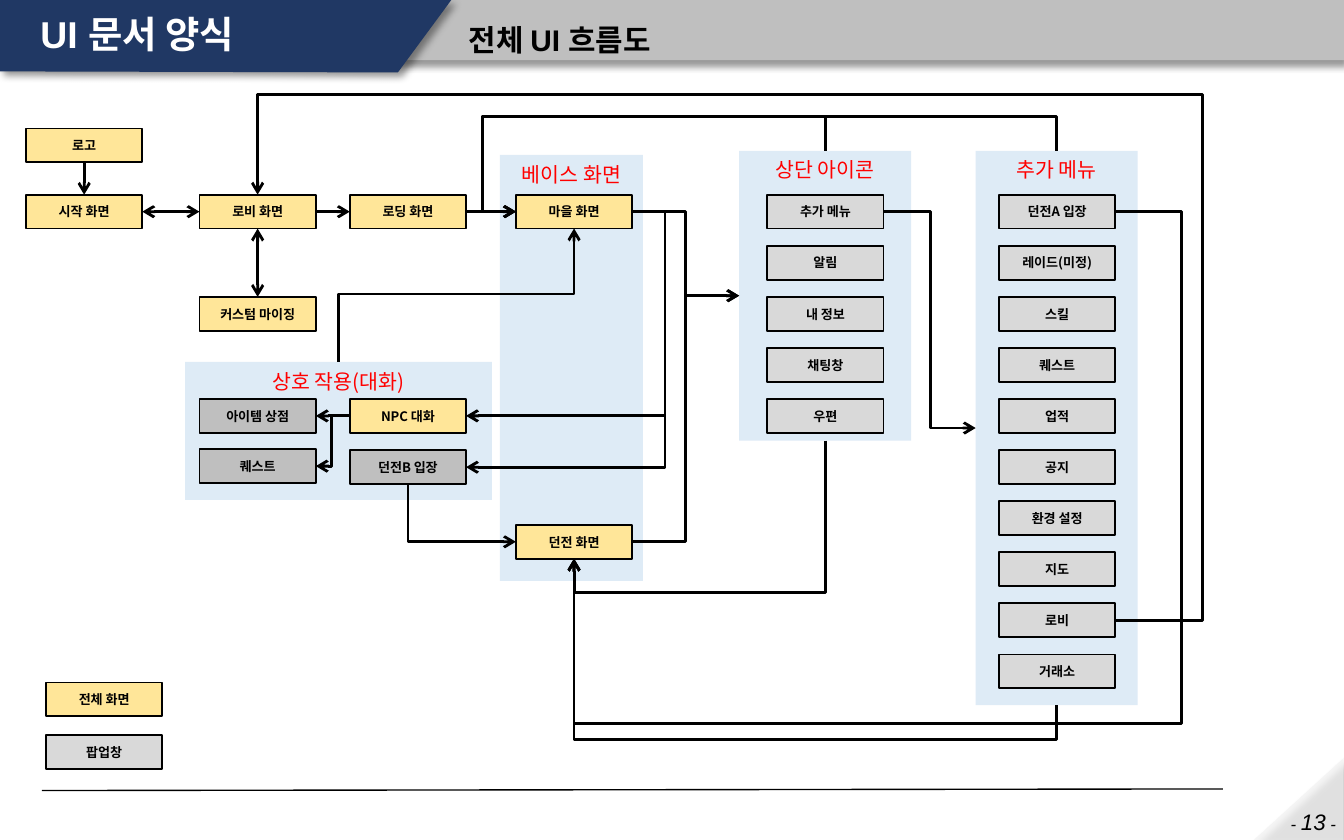
from lxml import etree
from pptx import Presentation
from pptx.dml.color import RGBColor
from pptx.enum.shapes import MSO_CONNECTOR, MSO_SHAPE
from pptx.enum.text import MSO_ANCHOR, MSO_AUTO_SIZE, PP_ALIGN
from pptx.oxml.ns import qn
from pptx.util import Cm, Pt

ARIAL, NOTO = "Arial", "Noto Sans CJK KR"
SCREEN, POPUP, TALK = "FFE699", "D9D9D9", "BFBFBF"
NODE_W, NODE_H = 2.2, 0.64
PITCH = 8.69 / 9
TOP, BOTTOM, LEFT, RIGHT = 0, 2, 1, 3


def color(value):
    return RGBColor.from_string(value)


def add_child(parent, tag, **attrs):
    return etree.SubElement(parent, qn(tag), {k: str(v) for k, v in attrs.items()})


def set_fill(shape, value, alpha=None):
    shape.fill.solid()
    shape.fill.fore_color.rgb = color(value)
    if alpha:
        clr = shape._element.spPr.find(qn("a:solidFill"))[0]
        add_child(clr, "a:alpha", val=alpha * 1000)


def set_shadow(shape, angle):
    shape.shadow.inherit = False
    effects = shape._element.spPr.find(qn("a:effectLst"))
    shadow = add_child(effects, "a:outerShdw", blurRad=Pt(4), dist=Pt(3),
                       dir=angle * 60000, algn="tl", rotWithShape=0)
    clr = add_child(shadow, "a:srgbClr", val="000000")
    add_child(clr, "a:alpha", val=40000)


def add_run(p, text, value, name=ARIAL, **formats):
    r = p.add_run()
    r.text = text
    r.font.color.rgb = color(value)
    for key, val in {"name": name, **formats}.items():
        setattr(r.font, key, val)
    add_child(r._r.get_or_add_rPr(), "a:ea", typeface=NOTO)


def add_box(s, box, text, value, anchor, **formats):
    shape = s.shapes.add_shape(MSO_SHAPE.RECTANGLE, *map(Cm, box))
    shape.shadow.inherit = False
    shape.line.fill.background()
    tf = shape.text_frame
    tf.word_wrap, tf.vertical_anchor = True, anchor
    p = tf.paragraphs[0]
    p.alignment = PP_ALIGN.CENTER
    add_run(p, text, value, NOTO, **formats)
    return shape


def add_node(s, x, y, text, fill):
    shape = add_box(s, (x, y, NODE_W, NODE_H), text, "000000",
                    MSO_ANCHOR.MIDDLE, size=Pt(7), bold=True)
    set_fill(shape, fill)
    shape.line.color.rgb = color("000000")
    shape.line.width = Pt(1)
    return shape


def add_nodes(s, x, y, nodes):
    """Place (dx, dy, text, fill) nodes from a corner; return them by text."""
    return {text: add_node(s, x + dx, y + dy, text, fill) for dx, dy, text, fill in nodes}


def add_panel(s, box, title, nodes):
    panel = add_box(s, box, title, "FF0000", MSO_ANCHOR.TOP, size=Pt(11))
    set_fill(panel, "5B9BD5", 20)
    return {"panel": panel, **add_nodes(s, *box[:2], nodes)}


def popup_column(dx, texts):
    return [(dx, 0.83 + i * PITCH, text, POPUP) for i, text in enumerate(texts)]


def style_line(c, width, head=False, tail=False):
    c.line.color.rgb = color("000000")
    c.line.width = Pt(width)
    ln = c._element.spPr.find(qn("a:ln"))
    for tag, wanted in (("a:headEnd", head), ("a:tailEnd", tail)):
        if wanted:
            add_child(ln, tag, type="arrow")
    add_child(c._element.spPr, "a:effectLst")


def side_point(shape, side):
    dx, dy = {TOP: (1, 0), LEFT: (0, 1), BOTTOM: (1, 2), RIGHT: (2, 1)}[side]
    return shape.left + shape.width * dx // 2, shape.top + shape.height * dy // 2


def link(s, a, a_side, b, b_side, turns=None, both=False):
    """Join two shapes; turns lists the bend coordinates in cm, None is straight."""
    start, end = side_point(a, a_side), side_point(b, b_side)
    kind = MSO_CONNECTOR.STRAIGHT if turns is None else MSO_CONNECTOR.ELBOW
    c = s.shapes.add_connector(kind, *start, *end)
    c.begin_connect(a, a_side)
    c.end_connect(b, b_side)
    style_line(c, 1.5, both, True)
    if turns is not None:
        bend(c, start, end, a_side in (TOP, BOTTOM), turns)


def bend(c, start, end, vertical, turns):
    dx, dy = end[0] - start[0], end[1] - start[1]
    along, across = (dy, -dx) if vertical else (dx, dy)
    c.width, c.height = abs(along), abs(across)
    c.left = (start[0] + end[0] - c.width) // 2
    c.top = (start[1] + end[1] - c.height) // 2
    xfrm = c._element.spPr.find(qn("a:xfrm"))
    for key, val in {"rot": 5400000 if vertical else 0, "flipH": int(along < 0),
                     "flipV": int(across < 0)}.items():
        xfrm.set(key, str(val))
    geom = c._element.spPr.find(qn("a:prstGeom"))
    geom.set("prst", f"bentConnector{len(turns) + 2}")
    guides = geom.find(qn("a:avLst"))
    for i, turn in enumerate(turns):
        axis = (i + vertical) % 2
        ratio = (Cm(turn) - start[axis]) / (dx, dy)[axis]
        add_child(guides, "a:gd", name=f"adj{i + 1}" if len(turns) > 1 else "adj1",
                  fmla=f"val {round(ratio * 100000)}")


def add_header(s, width):
    bar = s.shapes.add_shape(MSO_SHAPE.RECTANGLE, 0, 0, Cm(width), Cm(1.14))
    set_fill(bar, "BFBFBF")
    set_shadow(bar, 90)
    outline = [(Cm(x), Cm(y)) for x, y in ((8.53, 0), (7.52, 1.37), (0, 1.35))]
    builder = s.shapes.build_freeform(0, 0)
    builder.add_line_segments(outline, close=True)
    banner = builder.convert_to_shape()
    set_fill(banner, "203864")
    set_shadow(banner, 45)
    for shape in (bar, banner):
        shape.line.fill.background()

    # Title placeholder, raised above the banner, and the subtitle
    title = s.shapes.title
    s.shapes._spTree.append(title._element)
    subtitle = s.shapes.add_textbox(0, 0, 0, 0)
    for shape, box, text, size, value, spacing in (
            (title, (0.51, 0, 7.59, 1.37), "UI 문서 양식", 20, "FFFFFF", 0.9),
            (subtitle, (8.61, 0, 16.79, 1.14), "전체 UI 흐름도", 16, "000000", 1.5)):
        shape.left, shape.top, shape.width, shape.height = map(Cm, box)
        tf = shape.text_frame
        tf.word_wrap, tf.auto_size = True, MSO_AUTO_SIZE.NONE
        tf.vertical_anchor = MSO_ANCHOR.MIDDLE
        p = tf.paragraphs[0]
        p.alignment, p.line_spacing = PP_ALIGN.LEFT, spacing
        add_run(p, text, value, size=Pt(size), bold=True)


def add_footer(s):
    corner = s.shapes.add_shape(MSO_SHAPE.RIGHT_TRIANGLE, *map(Cm, (23.77, 14.25, 1.55, 1.7)))
    corner.rotation = 270
    set_fill(corner, "F2F2F2", 70)
    corner.line.fill.background()
    set_shadow(corner, 45)
    tf = s.shapes.add_textbox(*map(Cm, (22.71, 15.14, 2.79, 0.51))).text_frame
    tf.word_wrap = True
    p = tf.paragraphs[0]
    p.alignment = PP_ALIGN.RIGHT
    for text, size in (("- ", 9), ("13", 12), (" -", 9)):
        add_run(p, text, "000000", size=Pt(size), italic=True)
    rule = s.shapes.add_connector(MSO_CONNECTOR.STRAIGHT, *map(Cm, (0.79, 14.94, 23.11, 14.91)))
    style_line(rule, 0.75)


def add_flow(s):
    # Panels with their nodes
    base = add_panel(s, (9.45, 2.93, 2.7, 8.05), "베이스 화면", [
        (0.3, 0.75, "마을 화면", SCREEN), (0.3, 6.99, "던전 화면", SCREEN)])
    talk = add_panel(s, (3.5, 6.84, 5.8, 2.61), "상호 작용(대화)", [
        (0.27, 0.7, "아이템 상점", TALK), (0.27, 1.65, "퀘스트", TALK),
        (3.11, 0.7, "NPC 대화", SCREEN), (3.11, 1.67, "던전B 입장", TALK)])
    menu = add_panel(s, (18.44, 2.85, 3.06, 10.48), "추가 메뉴", popup_column(0.44, [
        "던전A 입장", "레이드(미정)", "스킬", "퀘스트", "업적",
        "공지", "환경 설정", "지도", "로비", "거래소"]))
    icons = add_panel(s, (13.97, 2.85, 3.25, 5.48), "상단 아이콘", popup_column(0.53, [
        "추가 메뉴", "알림", "내 정보", "채팅창", "우편"]))

    # Entry screens and legend
    entry = add_nodes(s, 0.49, 2.43, [
        (0, 0, "로고", SCREEN), (0, 1.25, "시작 화면", SCREEN),
        (3.28, 1.25, "로비 화면", SCREEN), (6.12, 1.25, "로딩 화면", SCREEN),
        (3.28, 1.25 + 2 * PITCH, "커스텀 마이징", SCREEN)])
    add_nodes(s, 0.87, 12.9, [(0, 0, "전체 화면", SCREEN), (0, 0.99, "팝업창", POPUP)])

    # Straight arrows
    lobby, village, dungeon = entry["로비 화면"], base["마을 화면"], base["던전 화면"]
    npc, gate = talk["NPC 대화"], talk["던전B 입장"]
    link(s, entry["로고"], BOTTOM, entry["시작 화면"], TOP)
    link(s, entry["시작 화면"], RIGHT, lobby, LEFT, both=True)
    link(s, lobby, RIGHT, entry["로딩 화면"], LEFT)
    link(s, lobby, BOTTOM, entry["커스텀 마이징"], TOP, both=True)
    link(s, entry["로딩 화면"], RIGHT, village, LEFT)
    link(s, npc, LEFT, talk["아이템 상점"], RIGHT)

    # Bent arrows
    for a, a_side, b, b_side, turns in (
            (icons["추가 메뉴"], RIGHT, menu["panel"], LEFT, [17.58]),
            (village, RIGHT, icons["panel"], LEFT, [12.95]),
            (dungeon, RIGHT, icons["panel"], LEFT, [12.95]),
            (icons["panel"], TOP, village, LEFT, [2.21, 9.12]),
            (menu["panel"], TOP, village, LEFT, [2.21, 9.12]),
            (menu["로비"], RIGHT, lobby, TOP, [22.73, 1.78]),
            (village, RIGHT, npc, RIGHT, [12.57]),
            (village, RIGHT, gate, RIGHT, [12.57]),
            (npc, LEFT, talk["퀘스트"], RIGHT, [6.27]),
            (talk["panel"], TOP, village, BOTTOM, [5.56]),
            (gate, BOTTOM, dungeon, LEFT, []),
            (menu["던전A 입장"], RIGHT, dungeon, BOTTOM, [22.33, 13.67]),
            (menu["panel"], BOTTOM, dungeon, BOTTOM, [13.97]),
            (icons["panel"], BOTTOM, dungeon, BOTTOM, [11.2])):
        link(s, a, a_side, b, b_side, turns)


def main():
    prs = Presentation()
    prs.slide_width, prs.slide_height = Cm(25.4), Cm(25.4 * 5 / 8)
    s = prs.slides.add_slide(prs.slide_layouts[5])
    add_header(s, 25.4)
    add_footer(s)
    add_flow(s)
    prs.save("out.pptx")


if __name__ == "__main__":
    main()
